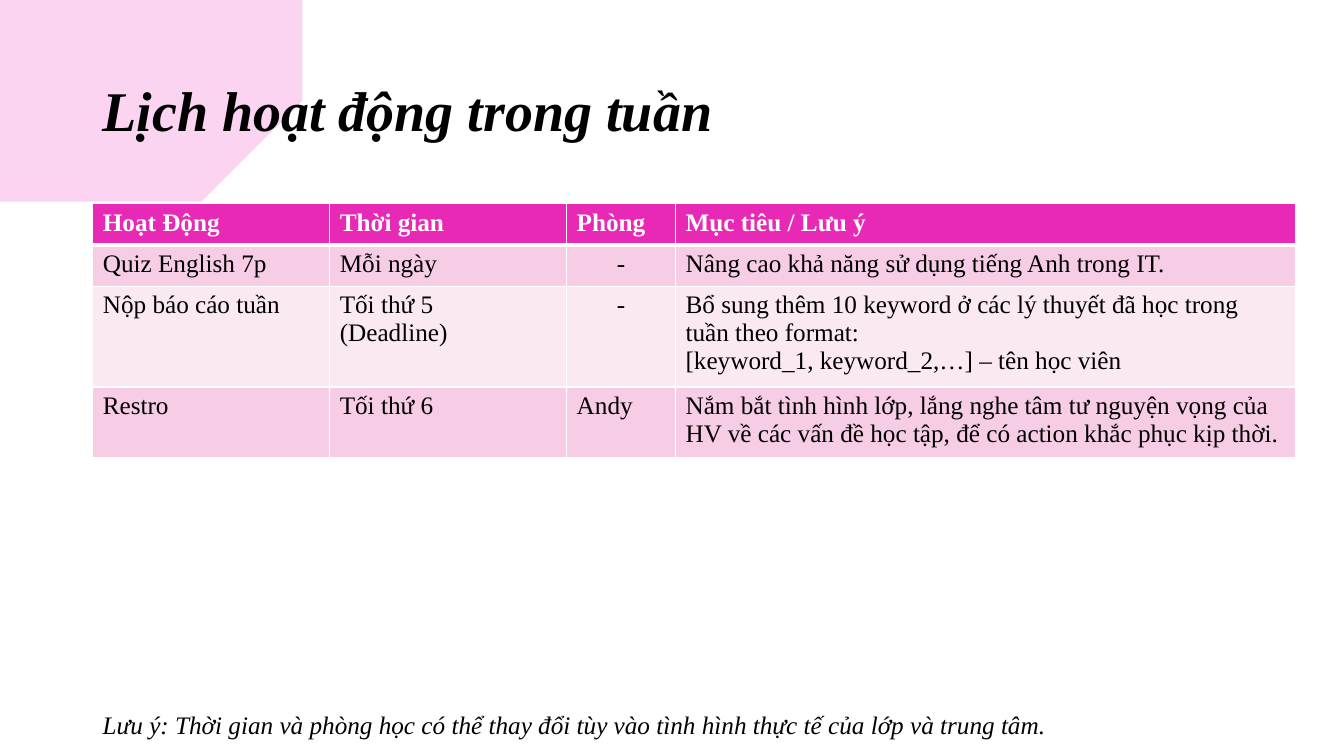
from lxml import etree
from pptx import Presentation
from pptx.dml.color import RGBColor
from pptx.enum.text import MSO_ANCHOR, PP_ALIGN
from pptx.oxml.ns import qn
from pptx.util import Inches, Pt

FONT = "Times New Roman"
PINK, BLACK, WHITE = "E729B5", "000000", "FFFFFF"
BAND_FILLS = ("F6CDE5", "FAE8F3")
COL_WIDTHS = (2.35, 2.35, 1.08, 6.15)
ROW_HEIGHTS = (0.41, 0.41, 0.92, 0.66)

# Each cell is a list of paragraphs; "\n" is a line break inside one
SCHEDULE = [
    [["Hoạt Động"], ["Thời gian"], ["Phòng"], ["Mục tiêu / Lưu ý"]],
    [["Quiz English 7p"], ["Mỗi ngày"], ["-"],
     ["Nâng cao khả năng sử dụng tiếng Anh trong IT."]],
    [["Nộp báo cáo tuần"], ["Tối thứ 5", "(Deadline)"], ["-"],
     ["Bổ sung thêm 10 keyword ở các lý thuyết đã học trong tuần theo format:\n"
      "[keyword_1, keyword_2,…] – tên học viên"]],
    [["Restro"], ["Tối thứ 6"], ["Andy"],
     ["Nắm bắt tình hình lớp, lắng nghe tâm tư nguyện vọng của HV về các vấn đề "
      "học tập, để có action khắc phục kịp thời."]],
]

# Brush stroke outline, clockwise from the top left
BRUSH = [
    (0, 0.34), (0.25, 0.37), (1.51, 0.38), (1.94, 0.41), (2.65, 0.41),
    (2.8, 0.47), (2.55, 0.54), (2.62, 0.62), (2.38, 0.66), (2.75, 0.74),
    (2.51, 0.75), (2.73, 0.81), (2.9, 0.85), (2.63, 0.88), (3.3, 0.94),
    (3.18, 1.06), (3.07, 1.11), (2.8, 1.2), (2.74, 1.28), (3.08, 1.28),
    (2.69, 1.38), (2.73, 1.42), (2.52, 1.48), (2.63, 1.48), (1.97, 1.72),
    (1.02, 1.88), (0.65, 1.91), (0, 1.88),
]


def rgb(color):
    return RGBColor.from_string(color)


def add_run(p, text, size, color=BLACK, bold=False, italic=False):
    r = p.add_run()
    r.text = text
    font = r.font
    font.name, font.size, font.bold, font.italic = FONT, Pt(size), bold, italic
    font.color.rgb = rgb(color)


def add_text(s, x, y, w, h, text, size, bold=False, anchor=MSO_ANCHOR.TOP):
    tf = s.shapes.add_textbox(Inches(x), Inches(y), Inches(w), Inches(h)).text_frame
    tf.word_wrap = True
    tf.vertical_anchor = anchor
    p = tf.paragraphs[0]
    add_run(p, text, size, bold=bold, italic=True)
    return p


def add_brush(s):
    builder = s.shapes.build_freeform(*BRUSH[0], scale=Inches(1))
    builder.add_line_segments(BRUSH[1:], close=True)
    sp = builder.convert_to_shape()
    sp.shadow.inherit = False
    sp.fill.solid()
    sp.fill.fore_color.rgb = rgb(PINK)
    sp.line.fill.background()
    # 20 % opacity
    color = sp._element.spPr.find(qn("a:solidFill"))[0]
    etree.SubElement(color, qn("a:alpha"), val="20000")


def set_borders(cell, bottom, top):
    tc_pr = cell._tc.get_or_add_tcPr()
    for side, width in (("L", 1), ("R", 1), ("T", top), ("B", bottom)):
        ln = etree.SubElement(tc_pr, qn(f"a:ln{side}"), w=str(Pt(width)))
        fill = etree.SubElement(ln, qn("a:solidFill"))
        etree.SubElement(fill, qn("a:srgbClr"), val=WHITE)


def fill_cell(cell, paragraphs, row):
    header = row == 0
    set_borders(cell, bottom=3 if header else 1, top=3 if row == 1 else 1)
    cell.fill.solid()
    cell.fill.fore_color.rgb = rgb(PINK if header else BAND_FILLS[(row - 1) % 2])
    tf = cell.text_frame
    for i, text in enumerate(paragraphs):
        p = tf.add_paragraph() if i else tf.paragraphs[0]
        if text == "-":
            p.alignment = PP_ALIGN.CENTER
        for j, line in enumerate(text.split("\n")):
            if j:
                p.add_line_break()
            add_run(p, line, 18, WHITE if header else BLACK, bold=header)


def add_schedule(s, x, y):
    table = s.shapes.add_table(
        len(ROW_HEIGHTS), len(COL_WIDTHS), Inches(x), Inches(y),
        Inches(sum(COL_WIDTHS)), Inches(sum(ROW_HEIGHTS))).table
    for column, width in zip(table.columns, COL_WIDTHS):
        column.width = Inches(width)
    for r, height in enumerate(ROW_HEIGHTS):
        table.rows[r].height = Inches(height)
        for c, paragraphs in enumerate(SCHEDULE[r]):
            fill_cell(table.cell(r, c), paragraphs, r)


def main():
    prs = Presentation()
    prs.slide_width, prs.slide_height = Inches(13.33), Inches(7.5)
    s = prs.slides.add_slide(prs.slide_layouts[6])

    # Brush stroke and title
    add_brush(s)
    title = add_text(s, 0.92, 0.4, 11.5, 1.45, "Lịch hoạt động trong tuần", 40,
                     bold=True, anchor=MSO_ANCHOR.MIDDLE)
    title.line_spacing = 0.9

    # Weekly schedule
    add_schedule(s, 0.92, 2.02)

    # Footnote
    add_text(s, 0.92, 6.99, 11.34, 0.4,
             "Lưu ý: Thời gian và phòng học có thể thay đổi tùy vào tình hình "
             "thực tế của lớp và trung tâm.", 18)
    prs.save("out.pptx")


if __name__ == "__main__":
    main()
